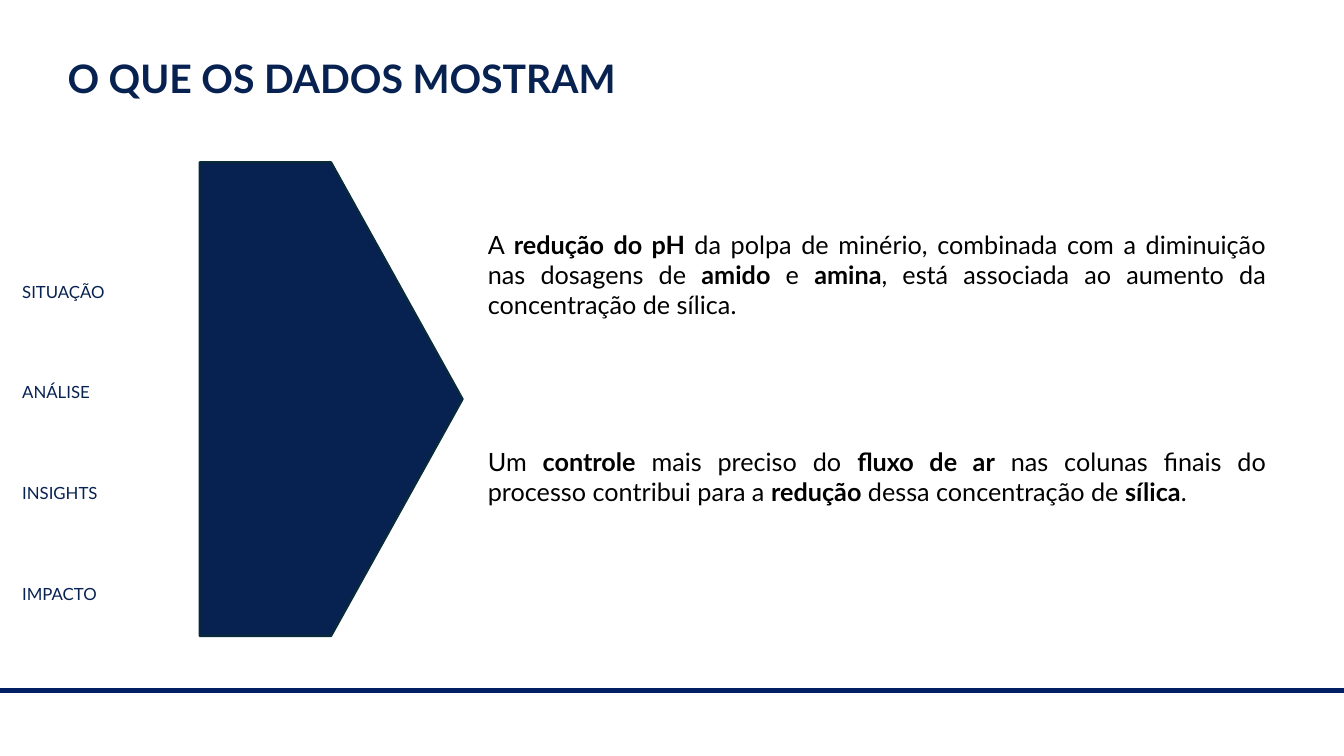
"""Build the slide that sums up what the data show."""
from dataclasses import dataclass

from lxml.etree import SubElement
from pptx import Presentation
from pptx.dml.color import RGBColor
from pptx.enum.shapes import MSO_CONNECTOR, MSO_SHAPE
from pptx.enum.text import MSO_ANCHOR, MSO_AUTO_SIZE, PP_ALIGN
from pptx.oxml.ns import qn
from pptx.shapes.placeholder import SlidePlaceholder
from pptx.slide import Slide
from pptx.util import Pt


@dataclass(frozen=True)
class Theme:
    font: str = "Lato"
    navy: RGBColor = RGBColor(0x07, 0x21, 0x51)
    edge: RGBColor = RGBColor(0x09, 0x2A, 0x39)
    rule: RGBColor = RGBColor(0x00, 0x1F, 0x63)
    black: RGBColor = RGBColor(0, 0, 0)
    title: float = 28
    body: float = 18
    label: float = 12


@dataclass(frozen=True)
class Piece:
    text: str
    bold: bool = False


@dataclass(frozen=True)
class Block:
    slot: int
    box: tuple[float, float, float, float]
    lines: list[list[Piece]]
    size: float
    color: RGBColor
    align: PP_ALIGN = PP_ALIGN.JUSTIFY
    gap: float = 0


THEME = Theme()
WIDTH, HEIGHT = 960, 540
PITCH = 72
LEFT, SPAN, TALL = 341.28, 570.24, 72.72
LABELS = ["SITUAÇÃO", "ANÁLISE", "INSIGHTS", "IMPACTO"]
BLOCKS = [
    Block(0, (41.04, 35.28, 878.4, 41.04),
          [[Piece("O QUE OS DADOS MOSTRAM", True)]], THEME.title, THEME.navy),
    Block(1, (8.64, 197.28, 95.76, 239.76), [[Piece(name)] for name in LABELS],
          THEME.label, THEME.navy, PP_ALIGN.LEFT, PITCH - 1.2 * THEME.label),
    Block(2, (LEFT, 159.84, SPAN, TALL), [[
        Piece("A "), Piece("redução do pH ", True),
        Piece("da polpa de minério, combinada com a diminuição nas dosagens de "),
        Piece("amido", True), Piece(" e "), Piece("amina", True),
        Piece(", está associada ao aumento da concentração de sílica."),
    ]], THEME.body, THEME.black),
    Block(4, (LEFT, 315.36, SPAN, TALL), [[
        Piece("Um "), Piece("controle", True), Piece(" mais preciso do "),
        Piece("fluxo de ar", True),
        Piece(" nas colunas finais do processo contribui para a "),
        Piece("redução", True), Piece(" dessa concentração de "),
        Piece("sílica", True), Piece("."),
    ]], THEME.body, THEME.black),
]


def write(holder: SlidePlaceholder, block: Block) -> None:
    """Place a text block in its placeholder."""
    holder.left, holder.top, holder.width, holder.height = map(Pt, block.box)
    frame = holder.text_frame
    frame.word_wrap = True
    frame.auto_size = MSO_AUTO_SIZE.NONE
    frame.vertical_anchor = MSO_ANCHOR.TOP
    for index, line in enumerate(block.lines):
        para = frame.add_paragraph() if index else frame.paragraphs[0]
        props = para._p.get_or_add_pPr()
        props.set("marL", "0")
        props.set("indent", "0")
        SubElement(props, qn("a:buNone"))
        para.alignment = block.align
        para.space_before = Pt(block.gap if index else 0)
        for piece in line:
            run = para.add_run()
            run.text = piece.text
            run.font.name = THEME.font
            run.font.size = Pt(block.size)
            run.font.bold = piece.bold
            run.font.color.rgb = block.color


def draw(slide: Slide) -> None:
    """Draw the bottom rule and the pointed panel."""
    level = Pt(493.2)
    rule = slide.shapes.add_connector(
        MSO_CONNECTOR.STRAIGHT, 0, level, Pt(WIDTH), level)
    rule.line.color.rgb = THEME.rule
    rule.line.width = Pt(3)
    SubElement(rule._element.spPr, qn("a:effectLst"))
    panel = slide.shapes.add_shape(
        MSO_SHAPE.PENTAGON, Pt(142.56), Pt(115.92), Pt(187.92), Pt(338.4))
    panel.shadow.inherit = False
    panel.fill.solid()
    panel.fill.fore_color.rgb = THEME.navy
    panel.line.color.rgb = THEME.edge
    panel.line.width = Pt(1.5)


def main() -> None:
    """Build and save the deck."""
    deck = Presentation()
    deck.slide_width, deck.slide_height = Pt(WIDTH), Pt(HEIGHT)
    slide = deck.slides.add_slide(deck.slide_layouts.get_by_name("Comparison"))
    draw(slide)
    blocks = {block.slot: block for block in BLOCKS}
    for holder in list(slide.placeholders):
        block = blocks.get(holder.placeholder_format.idx)
        if block:
            write(holder, block)
        else:
            holder._element.getparent().remove(holder._element)
    deck.save("out.pptx")


if __name__ == "__main__":
    main()
